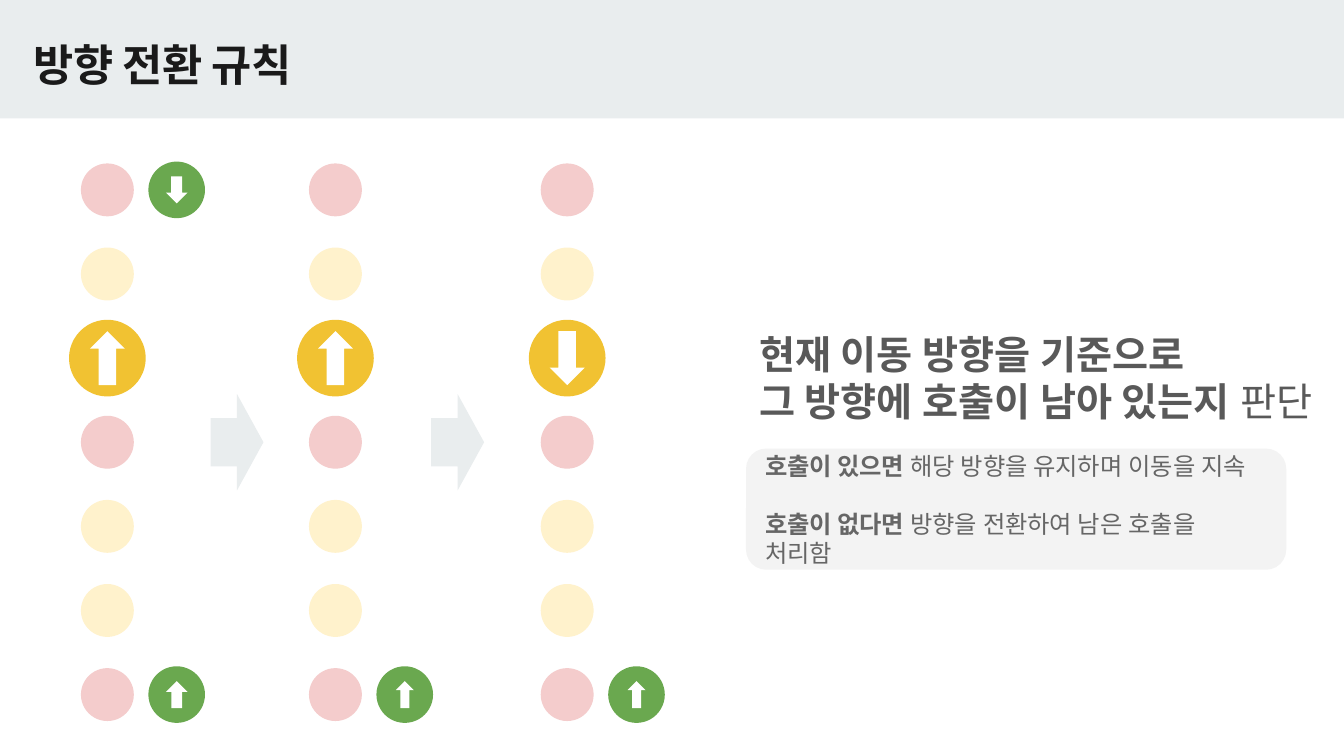
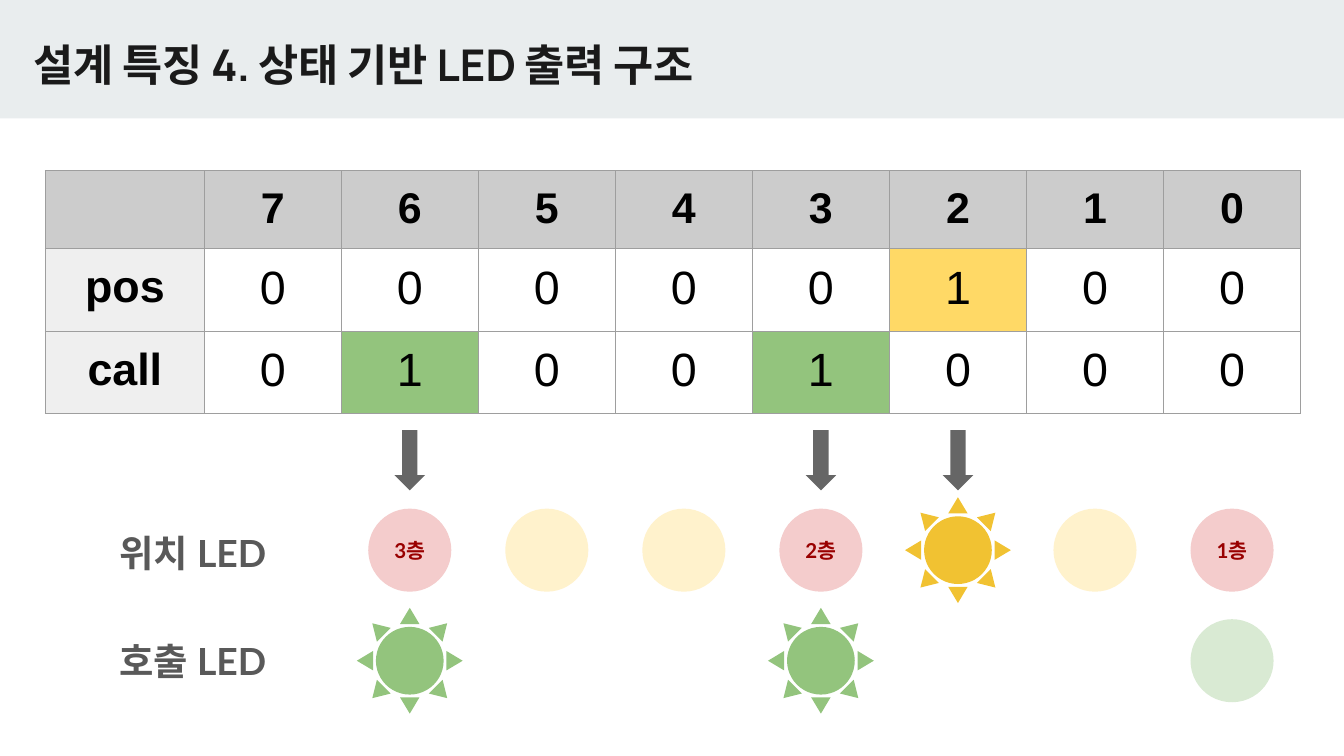
import pptx
import pptx.dml.color
import pptx.enum.shapes
import pptx.enum.text
import pptx.oxml
import pptx.oxml.ns
import pptx.util
from pptx.util import Cm, Pt

SHAPE = pptx.enum.shapes.MSO_SHAPE
ALIGN = pptx.enum.text.PP_ALIGN
ANCHOR = pptx.enum.text.MSO_ANCHOR
MARGIN = Cm(0.25)

BAND = "E9EDEE"
TITLE = "1A1A1A"
HEADING = "595959"
GREY = "666666"
PANEL = "F3F3F3"
WHITE = "FFFFFF"
BLACK = "000000"
FLOOR = "F4CCCC"
FLOOR_TEXT = "990000"
BETWEEN = "FFF2CC"
CAR = "F1C232"
CALL_BUTTON = "6AA84F"
CALL_ON = "93C47D"
CALL_OFF = "D9EAD3"
POSITION_BIT = "FFD966"
HEADER_FILL = "CCCCCC"
LABEL_FILL = "EFEFEF"
BORDER = "9E9E9E"

# Elevator shaft: seven lights, top to bottom
SHAFT_TOP = 3.59
SHAFT_STEP = 1.59
FLOOR_ROWS = (0, 3, 6)
CAR_ROW = 2

# Bit table: bit 7 on the left, bit 0 on the right
TABLE_LEFT = 0.86
LABEL_WIDTH = 3
BIT_WIDTH = 2.59
POSITION_Y = 10.4
CALL_Y = 12.49


def color(hex_string):
    return pptx.dml.color.RGBColor.from_string(hex_string)


def style_paragraph(paragraph, size, font, hex_color, bold=None):
    """Set the font for Latin and East Asian letters alike."""
    paragraph.font.size = Pt(size)
    paragraph.font.name = font
    paragraph.font.color.rgb = color(hex_color)
    paragraph.font.bold = bold
    properties = paragraph._p.pPr.find(pptx.oxml.ns.qn("a:defRPr"))
    for tag in ("ea", "cs"):
        properties.append(pptx.oxml.parse_xml(
            f'<a:{tag} {pptx.oxml.ns.nsdecls("a")} typeface="{font}"/>'))


def prepare_frame(frame, anchor):
    frame.word_wrap = True
    frame.vertical_anchor = anchor
    frame.margin_left = frame.margin_right = MARGIN
    frame.margin_top = frame.margin_bottom = MARGIN


def add_text(slide, left, top, width, height, text, size, font, hex_color):
    """Add a text box with one bold paragraph."""
    box = slide.shapes.add_textbox(Cm(left), Cm(top), Cm(width), Cm(height))
    prepare_frame(box.text_frame, ANCHOR.TOP)
    paragraph = box.text_frame.paragraphs[0]
    paragraph.text = text
    style_paragraph(paragraph, size, font, hex_color, bold=True)
    return paragraph


def add_run(paragraph, text, bold):
    run = paragraph.add_run()
    run.text = text
    run.font.bold = bold


def add_shape(slide, kind, left, top, width, height, fill):
    shape = slide.shapes.add_shape(kind, Cm(left), Cm(top), Cm(width), Cm(height))
    shape.shadow.inherit = False
    shape.fill.solid()
    shape.fill.fore_color.rgb = color(fill)
    shape.line.fill.background()
    return shape


def add_centred(slide, kind, x, y, width, height, fill):
    """Add a shape by its centre."""
    return add_shape(slide, kind, x - width / 2, y - height / 2, width, height, fill)


def add_light(slide, x, y, diameter, fill):
    return add_centred(slide, SHAPE.OVAL, x, y, diameter, diameter, fill)


def add_direction_light(slide, x, y, diameter, fill, arrow_size, upward):
    """Add a light with a white arrow in it."""
    add_light(slide, x, y, diameter, fill)
    arrow = add_centred(slide, SHAPE.DOWN_ARROW, x, y, *arrow_size, WHITE)
    arrow.rotation = 180 if upward else 0


def add_titled_slide(presentation, title):
    slide = presentation.slides.add_slide(presentation.slide_layouts[6])
    add_shape(slide, SHAPE.RECTANGLE, 0, 0, 25.4, 2.24, BAND)
    add_text(slide, 0.38, 0.46, 21.36, 1.5, title, 23.4, "Manrope", TITLE)
    return slide


def shaft_y(row):
    return SHAFT_TOP + row * SHAFT_STEP


def add_shaft(slide, x, car_upward, calls, call_arrow_width):
    """Add a column of lights; calls holds (row, upward) pairs."""
    for row in range(7):
        if row == CAR_ROW:
            add_direction_light(slide, x, shaft_y(row), 1.45, CAR, (0.66, 1.02), car_upward)
        else:
            fill = FLOOR if row in FLOOR_ROWS else BETWEEN
            add_light(slide, x, shaft_y(row), 1, fill)
    for row, upward in calls:
        add_direction_light(slide, x + 1.31, shaft_y(row), 1.07, CALL_BUTTON,
                            (call_arrow_width, 0.51), upward)


def add_rule_panel(slide, rules):
    """Add a panel; rules holds (condition, action) pairs."""
    panel = add_shape(slide, SHAPE.ROUNDED_RECTANGLE, 14.1, 8.48, 10.21, 2.29, PANEL)
    frame = panel.text_frame
    prepare_frame(frame, ANCHOR.MIDDLE)
    for index, (condition, action) in enumerate(rules):
        paragraph = frame.add_paragraph() if index else frame.paragraphs[0]
        paragraph.alignment = ALIGN.LEFT
        paragraph.space_before = Pt(15.5 if index else 0)
        style_paragraph(paragraph, 13, "Lato", GREY)
        add_run(paragraph, condition, True)
        add_run(paragraph, " " + action, False)


def set_borders(cell):
    properties = cell._tc.get_or_add_tcPr()
    for index, side in enumerate(("lnL", "lnR", "lnT", "lnB")):
        properties.insert(index, pptx.oxml.parse_xml(
            f'<a:{side} {pptx.oxml.ns.nsdecls("a")} w="{Pt(0.75)}">'
            f'<a:solidFill><a:srgbClr val="{BORDER}"/></a:solidFill></a:{side}>'))


def fill_cell(cell, text, size, bold, fill):
    cell.margin_left = cell.margin_right = MARGIN
    cell.margin_top = cell.margin_bottom = MARGIN
    cell.fill.solid()
    cell.fill.fore_color.rgb = color(fill)
    paragraph = cell.text_frame.paragraphs[0]
    paragraph.text = text
    paragraph.alignment = ALIGN.CENTER
    style_paragraph(paragraph, size, "Arial", BLACK, bold)
    set_borders(cell)


def add_bit_table(slide, registers):
    """Add a bit table; registers holds (name, bits, fill of set bits)."""
    heights = (1.42, 1.48, 1.5)
    table = slide.shapes.add_table(
        3, 9, Cm(TABLE_LEFT), Cm(3.23), Cm(LABEL_WIDTH + 8 * BIT_WIDTH),
        Cm(sum(heights))).table
    table.first_row = table.horz_banding = False
    for row, height in zip(table.rows, heights):
        row.height = Cm(height)
    for index, column in enumerate(table.columns):
        column.width = Cm(BIT_WIDTH if index else LABEL_WIDTH)

    for column, text in enumerate(["", *"76543210"]):
        fill_cell(table.cell(0, column), text, 23, True, HEADER_FILL)
    for row, (name, bits, set_fill) in enumerate(registers, 1):
        fill_cell(table.cell(row, 0), name, 24, True, LABEL_FILL)
        for column, bit in enumerate(bits, 1):
            fill = set_fill if bit == "1" else WHITE
            fill_cell(table.cell(row, column), bit, 25, False, fill)


def bit_x(bit):
    return TABLE_LEFT + LABEL_WIDTH + (7.5 - bit) * BIT_WIDTH


def add_floor_light(slide, bit, label):
    light = add_light(slide, bit_x(bit), POSITION_Y, 1.57, FLOOR)
    prepare_frame(light.text_frame, ANCHOR.MIDDLE)
    paragraph = light.text_frame.paragraphs[0]
    paragraph.text = label
    paragraph.alignment = ALIGN.CENTER
    style_paragraph(paragraph, 11, "Lato", FLOOR_TEXT, True)


def add_lit_light(slide, bit, y, fill):
    add_centred(slide, SHAPE.SUN, bit_x(bit), y, 2, 2, fill).adjustments[0] = 0.18


def build_direction_slide(presentation):
    slide = add_titled_slide(presentation, "방향 전환 규칙")
    heading = add_text(slide, 14.1, 5.99, 14.88, 1.83,
                       "현재 이동 방향을 기준으로 \v그 방향에 호출이 남아 있는지",
                       21, "Lato", HEADING)
    add_run(heading, " 판단", False)
    add_rule_panel(slide, [
        ("호출이 있으면", "해당 방향을 유지하며 이동을 지속"),
        ("호출이 없다면", "방향을 전환하여 남은 호출을 처리함"),
    ])
    add_shaft(slide, 2.03, True, [(0, False), (6, True)], 0.41)
    add_shaft(slide, 6.34, True, [(6, True)], 0.34)
    add_shaft(slide, 10.72, False, [(6, True)], 0.34)
    for x in (4.48, 8.65):
        add_centred(slide, SHAPE.RIGHT_ARROW, x, shaft_y(3), 1, 1.82, BAND)


def build_led_slide(presentation):
    slide = add_titled_slide(presentation, "설계 특징 4. 상태 기반 LED 출력 구조")
    add_bit_table(slide, [
        ("pos", "00000100", POSITION_BIT),
        ("call", "01001000", CALL_ON),
    ])
    for bit, label in ((6, "3층"), (3, "2층"), (0, "1층")):
        add_floor_light(slide, bit, label)
    for bit in (5, 4, 1):
        add_light(slide, bit_x(bit), POSITION_Y, 1.57, BETWEEN)
    add_lit_light(slide, 2, POSITION_Y, CAR)
    add_light(slide, bit_x(0), CALL_Y, 1.57, CALL_OFF)
    for bit in (6, 3):
        add_lit_light(slide, bit, CALL_Y, CALL_ON)
    for bit in (6, 3, 2):
        add_centred(slide, SHAPE.DOWN_ARROW, bit_x(bit), 8.7, 0.58, 1.14, GREY)
    for top, label in ((9.78, "위치 LED"), (11.81, "호출 LED")):
        add_text(slide, 2, top, 3.58, 1.37, label, 20, "Lato", HEADING)


def main():
    presentation = pptx.Presentation()
    presentation.slide_width = Cm(25.4)
    presentation.slide_height = Cm(14.29)
    build_direction_slide(presentation)
    build_led_slide(presentation)
    presentation.save("out.pptx")


if __name__ == "__main__":
    main()
